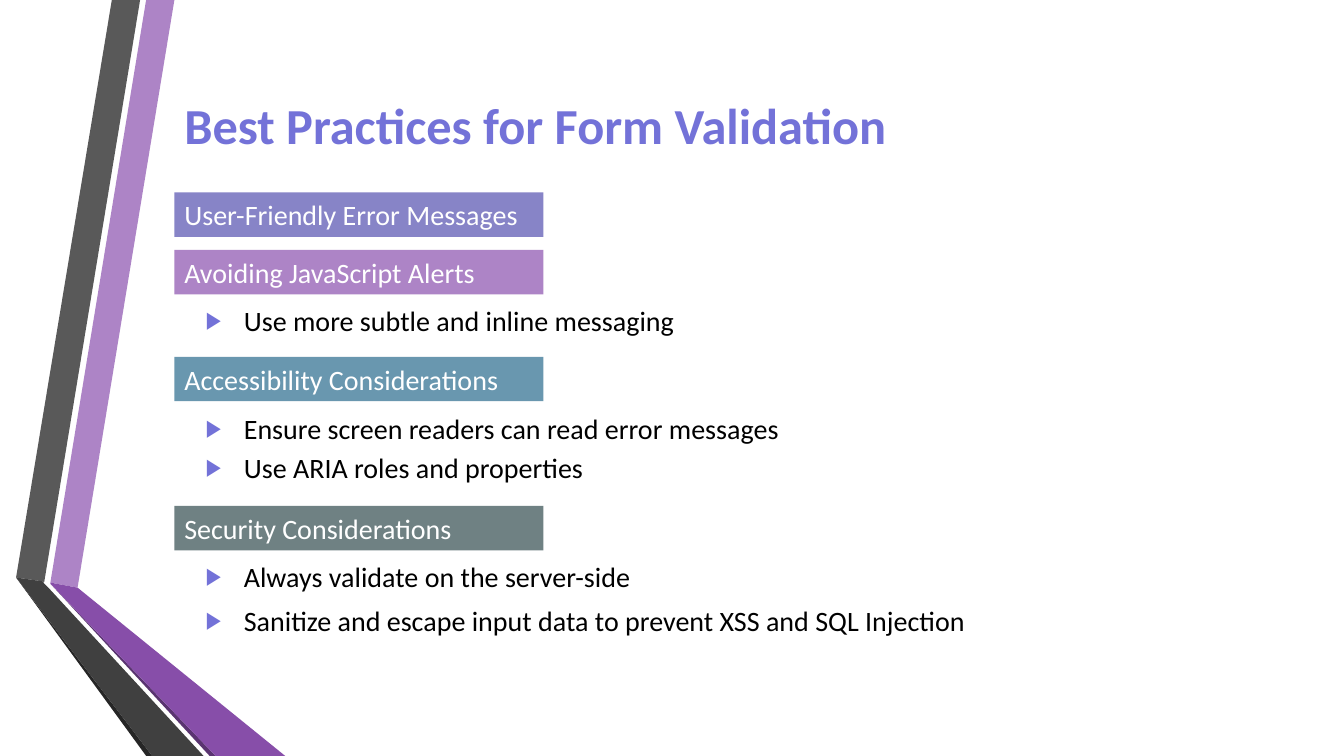
from dataclasses import dataclass

from lxml import etree
from pptx import Presentation
from pptx import util as u
from pptx.dml.color import RGBColor
from pptx.enum import shapes, text
from pptx.oxml import ns


@dataclass(frozen=True)
class Theme:
    font: str = "Calibri"
    title_size: int = 36
    body_size: int = 20
    accent: str = "7372D8"
    body: str = "000000"
    light: str = "FFFFFF"
    indigo: str = "8784C7"
    lilac: str = "AD84C6"
    teal: str = "6997AF"
    slate: str = "6F8183"
    purple: str = "874EA9"
    plum: str = "5A3471"
    grey: str = "595959"
    charcoal: str = "404040"
    black: str = "262626"


THEME = Theme()
LEFT = 1.73
BULLET_LEFT = 1.94
ROW_HEIGHT = 0.44

# Folded ribbon along the left edge: colour and corner points
RIBBON = [
    (THEME.lilac, [(0.5, 5.78), (0.77, 5.83), (1.73, 0), (1.45, 0)]),
    (THEME.grey, [(1.39, 0), (1.11, 0), (0.16, 5.73), (0.44, 5.77)]),
    (THEME.black, [(0.16, 5.73), (1.45, 7.5), (1.51, 7.5)]),
    (THEME.plum, [(0.5, 5.79), (2.08, 7.5), (2.14, 7.5)]),
    (THEME.purple, [(0.5, 5.78), (0.5, 5.79), (2.14, 7.5), (2.83, 7.5), (0.77, 5.83)]),
    (THEME.charcoal, [(2.02, 7.5), (0.48, 5.83), (0.43, 5.78), (0.44, 5.77),
                      (0.16, 5.73), (1.51, 7.5)]),
]

# Sections: heading, colour, top, bullets as (text, top, width)
SECTIONS = [
    ("User-Friendly Error Messages", THEME.indigo, 1.91, []),
    ("Avoiding JavaScript Alerts", THEME.lilac, 2.48,
     [("Use more subtle and inline messaging", 2.96, 4.95)]),
    ("Accessibility Considerations", THEME.teal, 3.54,
     [("Ensure screen readers can read error messages", 4.03, 5.99),
      ("Use ARIA roles and properties", 4.42, 4.02)]),
    ("Security Considerations", THEME.slate, 5.02,
     [("Always validate on the server-side", 5.5, 4.52),
      ("Sanitize and escape input data to prevent XSS and SQL Injection", 5.94, 7.99)]),
]


class SlideBuilder:
    def __init__(self, page, theme):
        self.page = page
        self.theme = theme

    def paint(self, shape, color):
        shape.shadow.inherit = False
        shape.fill.solid()
        shape.fill.fore_color.rgb = RGBColor.from_string(color)
        shape.line.fill.background()

    def set_words(self, shape, words, size, color, bold=False, wrap=True):
        frame = shape.text_frame
        frame.word_wrap = wrap
        frame.auto_size = text.MSO_AUTO_SIZE.SHAPE_TO_FIT_TEXT
        frame.text = words
        para = frame.paragraphs[0]
        para.alignment = text.PP_ALIGN.LEFT
        font = para.runs[0].font
        font.name = self.theme.font
        font.size = u.Pt(size)
        font.bold = bold
        font.color.rgb = RGBColor.from_string(color)
        return para

    def textbox(self, left, top, width, height):
        return self.page.shapes.add_textbox(
            u.Inches(left), u.Inches(top), u.Inches(width), u.Inches(height))

    def ribbon(self, color, points):
        start, *rest = [(u.Inches(x), u.Inches(y)) for x, y in points]
        outline = self.page.shapes.build_freeform(*start)
        outline.add_line_segments(rest, close=True)
        self.paint(outline.convert_to_shape(), color)

    def title(self, words):
        box = self.textbox(LEFT, 0.88, 7.66, 0.71)
        self.set_words(box, words, self.theme.title_size, self.theme.accent, bold=True)

    def heading(self, words, color, top):
        bar = self.page.shapes.add_shape(
            shapes.MSO_SHAPE.RECTANGLE, u.Inches(LEFT), u.Inches(top),
            u.Inches(3.66), u.Inches(ROW_HEIGHT))
        self.paint(bar, color)
        self.set_words(bar, words, self.theme.body_size, self.theme.light)

    def bullet(self, words, top, width):
        box = self.textbox(BULLET_LEFT, top, width, ROW_HEIGHT)
        para = self.set_words(box, words, self.theme.body_size, self.theme.body, wrap=False)
        # Hanging indent with a coloured triangle marker
        props = para._p.get_or_add_pPr()
        props.set("marL", str(u.Inches(0.38)))
        props.set("indent", str(-u.Inches(0.38)))
        marker_color = etree.SubElement(props, ns.qn("a:buClr"))
        etree.SubElement(marker_color, ns.qn("a:srgbClr"), val=self.theme.accent)
        etree.SubElement(props, ns.qn("a:buSzPct"), val="85000")
        etree.SubElement(props, ns.qn("a:buFont"), typeface=self.theme.font)
        etree.SubElement(props, ns.qn("a:buChar"), char="▶")


def main():
    deck = Presentation()
    deck.slide_width = u.Inches(13.33)
    deck.slide_height = u.Inches(7.5)
    blank = deck.slide_layouts[6]
    builder = SlideBuilder(deck.slides.add_slide(blank), THEME)

    # Decoration
    for color, points in RIBBON:
        builder.ribbon(color, points)

    # Content
    builder.title("Best Practices for Form Validation")
    for words, color, top, bullets in SECTIONS:
        builder.heading(words, color, top)
        for bullet in bullets:
            builder.bullet(*bullet)

    deck.save("out.pptx")


if __name__ == "__main__":
    main()
